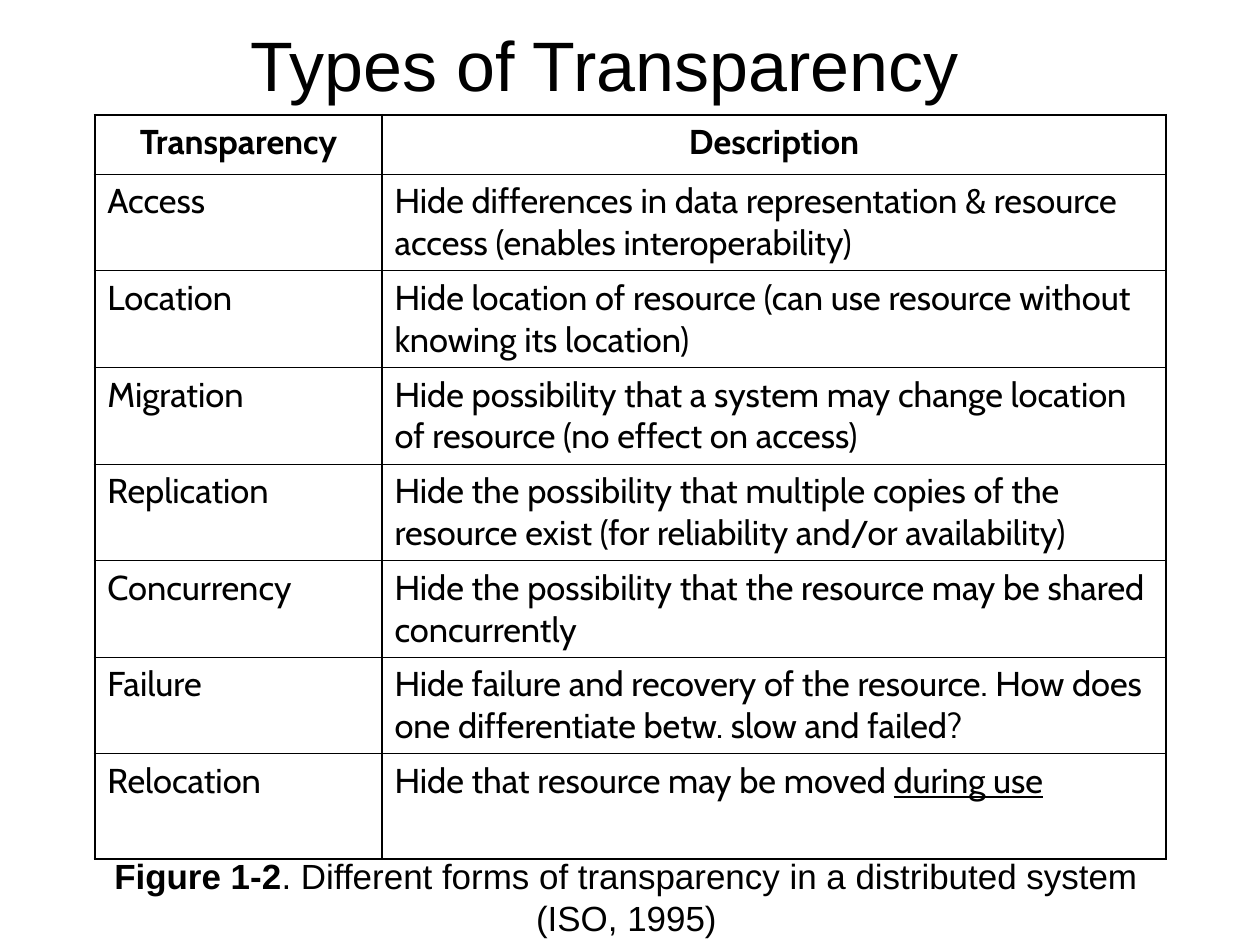
from dataclasses import dataclass

from lxml.etree import SubElement
from pptx import Presentation
from pptx.dml.color import RGBColor
from pptx.enum.text import MSO_ANCHOR, MSO_AUTO_SIZE, PP_ALIGN
from pptx.oxml.ns import qn
from pptx.util import Cm, Pt


@dataclass(frozen=True)
class Theme:
    ink: str = "000000"
    heading_font: str = "Arial"
    table_font: str = "Cabin"
    title_size: float = 56.9
    table_size: float = 28
    caption_size: float = 28.4
    outer_line: float = 2.25
    inner_line: float = 1


THEME = Theme()
LEFT = Cm(2.72)
COL_WIDTHS = [8.23, 22.48]
ROW_HEIGHTS = [1.7] + [2.77] * 6 + [3.02]
TITLE = "Types of Transparency"
HEADER = ("Transparency", "Description")
TYPES = [
    ("Access", "Hide differences in data representation & resource access "
     "(enables interoperability)"),
    ("Location", "Hide location of resource (can use resource without knowing its location)"),
    ("Migration", "Hide possibility that a system may change location of resource "
     "(no effect on access)"),
    ("Replication", "Hide the possibility that multiple copies of the resource exist "
     "(for reliability and/or availability)"),
    ("Concurrency", "Hide the possibility that the resource may be shared concurrently"),
    ("Failure", "Hide failure and recovery of the resource. "
     "How does one differentiate betw. slow and failed?"),
    ("Relocation", [("Hide that resource may be moved ", {}),
                    ("during use", {"underline": True})]),
]
CAPTION = [("Figure 1-2", {"bold": True}),
           (". Different forms of transparency in a distributed system (ISO, 1995)", {})]


def set_attrs(obj, values):
    for name, value in values.items():
        setattr(obj, name, value)


def write(tf, text, font, size, align=PP_ALIGN.LEFT, bold=False):
    """Fill a text frame with one paragraph: a string or (text, format) runs."""
    runs = [(text, {})] if isinstance(text, str) else text
    p = tf.paragraphs[0]
    p.alignment = align
    for words, extra in runs:
        r = p.add_run()
        r.text = words
        set_attrs(r.font, {"name": font, "size": Pt(size), "bold": bold, **extra})
        r.font.color.rgb = RGBColor.from_string(THEME.ink)


def set_borders(cell, widths):
    """Draw the cell's edges; widths maps L, R, T, B, in that order, to points."""
    tc_pr = cell._tc.get_or_add_tcPr()
    for side, width in widths.items():
        ln = SubElement(tc_pr, qn(f"a:ln{side}"), w=str(Pt(width)))
        fill = SubElement(ln, qn("a:solidFill"))
        SubElement(fill, qn("a:srgbClr"), val=THEME.ink)


def add_title(s):
    sp = s.shapes.title
    set_attrs(sp, {"left": LEFT, "top": Cm(0.61), "width": Cm(29.21), "height": Cm(2.41)})
    tf = sp.text_frame
    inset = Cm(0.15)
    set_attrs(tf, {"auto_size": MSO_AUTO_SIZE.NONE, "word_wrap": True,
                   "vertical_anchor": MSO_ANCHOR.MIDDLE,
                   "margin_left": inset, "margin_right": inset,
                   "margin_top": inset, "margin_bottom": inset})
    write(tf, TITLE, THEME.heading_font, THEME.title_size, PP_ALIGN.CENTER)


def add_types_table(s):
    rows = [HEADER, *TYPES]
    table = s.shapes.add_table(len(rows), len(HEADER), LEFT, Cm(3.3),
                               Cm(sum(COL_WIDTHS)), Cm(sum(ROW_HEIGHTS))).table
    set_attrs(table, {"first_row": False, "horz_banding": False})
    for column, width in zip(table.columns, COL_WIDTHS):
        column.width = Cm(width)
    for row, height in zip(table.rows, ROW_HEIGHTS):
        row.height = Cm(height)

    for i, texts in enumerate(rows):
        is_header = i == 0
        for j, text in enumerate(texts):
            cell = table.cell(i, j)
            set_attrs(cell, {"margin_left": Cm(0.36), "margin_right": Cm(0.36),
                             "margin_top": Cm(0.18), "margin_bottom": Cm(0.18),
                             "vertical_anchor": MSO_ANCHOR.TOP})
            write(cell.text_frame, text, THEME.table_font, THEME.table_size,
                  PP_ALIGN.CENTER if is_header else PP_ALIGN.LEFT, is_header)
            on_edge = {"L": j == 0, "R": j == len(texts) - 1,
                       "T": is_header, "B": i == len(rows) - 1}
            set_borders(cell, {side: THEME.outer_line if outer else THEME.inner_line
                               for side, outer in on_edge.items()})
            cell.fill.background()


def add_caption(s):
    tf = s.shapes.add_textbox(LEFT, Cm(24.38), Cm(30.48), Cm(2.69)).text_frame
    tf.word_wrap = True
    write(tf, CAPTION, THEME.heading_font, THEME.caption_size, PP_ALIGN.CENTER)


def main():
    prs = Presentation()
    set_attrs(prs, {"slide_width": Cm(36.12), "slide_height": Cm(27.1)})
    s = prs.slides.add_slide(prs.slide_layouts.get_by_name("Title Only"))
    add_title(s)
    add_types_table(s)
    add_caption(s)
    prs.save("out.pptx")


if __name__ == "__main__":
    main()
